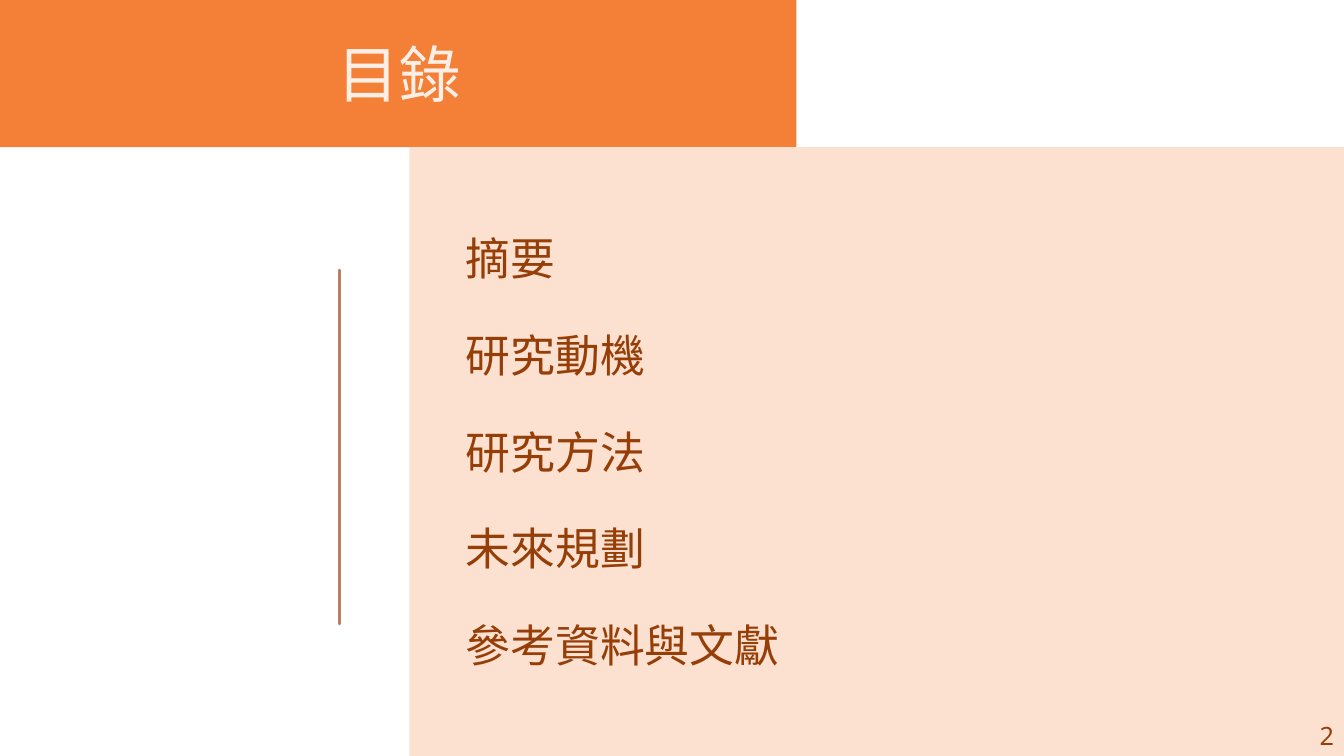
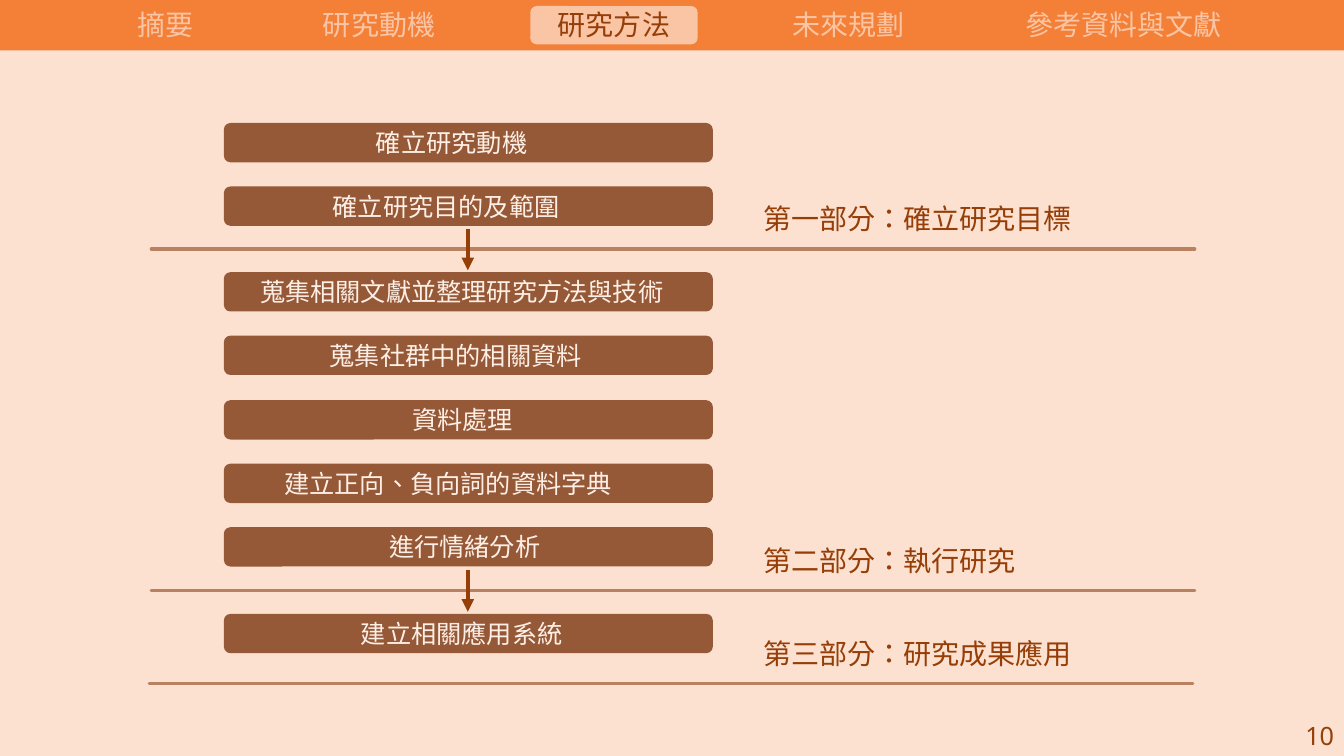
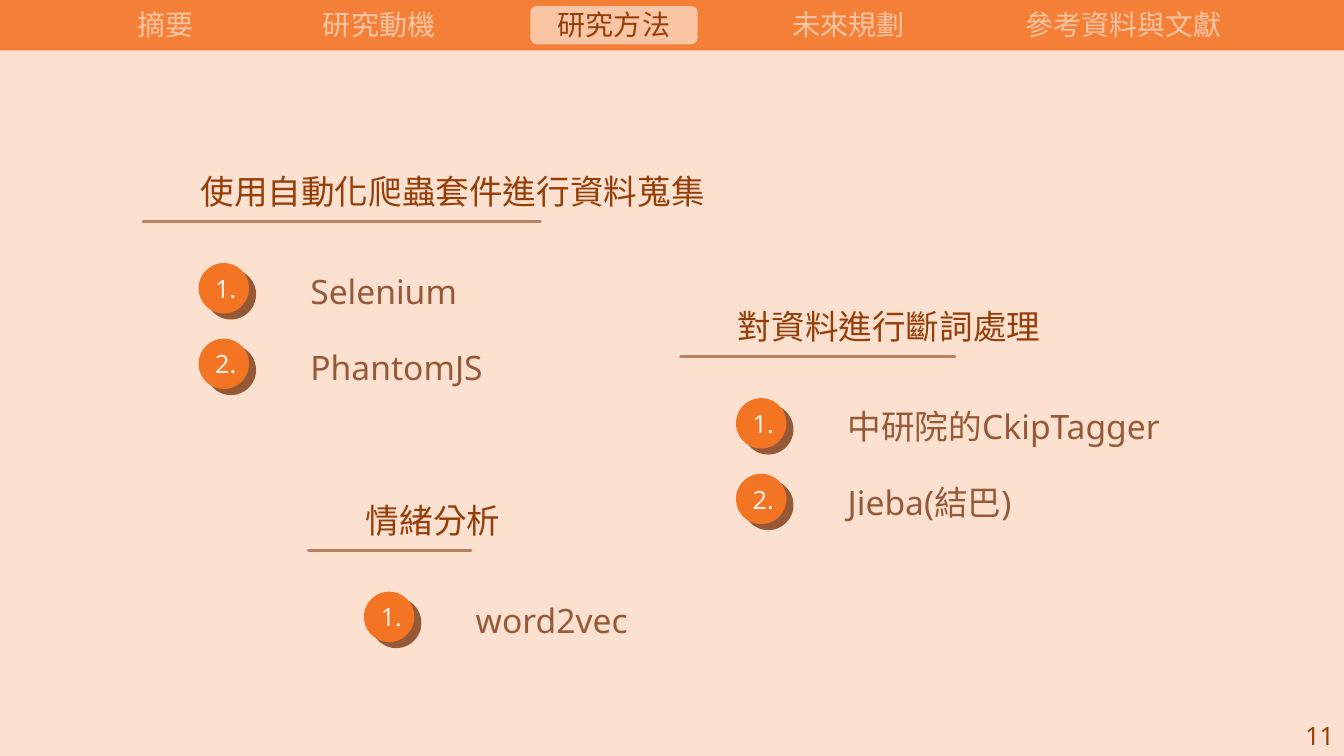
from lxml.etree import SubElement
from pptx import Presentation
from pptx.dml.color import RGBColor
from pptx.enum.lang import MSO_LANGUAGE_ID
from pptx.enum.shapes import MSO_CONNECTOR, MSO_SHAPE
from pptx.enum.text import MSO_ANCHOR, MSO_AUTO_SIZE, PP_ALIGN
from pptx.oxml.ns import qn
from pptx.util import Emu, Pt

EMU_PER_PX = 9144  # 100 px to the inch
SLIDE_WIDTH, SLIDE_HEIGHT = 1333, 750

COLORS = {
    "band": "F48038",
    "panel": "FCE1D0",
    "active tab": "FAC5A4",
    "badge": "F37524",
    "brown": "955937",
    "rule": "B9815F",
    "dark text": "963E08",
    "light text": "FEEFE6",
}
FONT = {"name": "Noto Sans", "language_id": MSO_LANGUAGE_ID.TRADITIONAL_CHINESE}
TEXT_BOX = {"word_wrap": True, "auto_size": MSO_AUTO_SIZE.SHAPE_TO_FIT_TEXT}
SHAPE_TEXT = {
    "word_wrap": False,
    "vertical_anchor": MSO_ANCHOR.MIDDLE,
    "margin_top": 0,
    "margin_right": 0,
    "margin_bottom": 0,
}

# Section name, left edge and width of its tab
TABS = [
    ("摘要", 122, 84),
    ("研究動機", 307, 138),
    ("研究方法", 540, 138),
    ("未來規劃", 773, 138),
    ("參考資料與文獻", 1002, 225),
]

STEP_LEFT, STEP_WIDTH, STEP_HEIGHT = 222, 485, 39
STEP_PITCH = 190 / 3

# Label, label top, first step top, rule left, rule y, steps with their text left
PARTS = [
    ("第一部分：確立研究目標", 195, 122, 150, 247, [
        ("確立研究動機", 373),
        ("確立研究目的及範圍", 330),
    ]),
    ("第二部分：執行研究", 534, 270, 150, 586, [
        ("蒐集相關文獻並整理研究方法與技術", 258),
        ("蒐集社群中的相關資料", 327),
        ("資料處理", 409),
        ("建立正向、負向詞的資料字典", 282),
        ("進行情緒分析", 386),
    ]),
    ("第三部分：研究成果應用", 627, 609, 148, 678, [
        ("建立相關應用系統", 358),
    ]),
]

# Heading, left, top, text width, rule width, tools
TOPICS = [
    ("使用自動化爬蟲套件進行資料蒐集", 189, 165, 545, 394, ["Selenium", "PhantomJS"]),
    ("對資料進行斷詞處理", 722, 299, 368, 272, ["中研院的CkipTagger", "Jieba(結巴)"]),
    ("情緒分析", 353, 491, 196, 161, ["word2vec"]),
]


def px(length):
    return Emu(length * EMU_PER_PX)


def color(name):
    return RGBColor.from_string(COLORS[name])


def set_all(target, values):
    for name, value in values.items():
        setattr(target, name, value)


def write(text_frame, text, size, text_color, alignment):
    paragraph = text_frame.paragraphs[0]
    paragraph.alignment = alignment
    run = paragraph.add_run()
    run.text = text
    set_all(run.font, {**FONT, "size": Pt(size)})
    run.font.color.rgb = color(text_color)


def add_text(slide, text, left, top, width, height, size,
             text_color="dark text", alignment=PP_ALIGN.LEFT):
    box = slide.shapes.add_textbox(px(left), px(top), px(width), px(height))
    set_all(box.text_frame, TEXT_BOX)
    write(box.text_frame, text, size, text_color, alignment)


def add_block(slide, fill, left, top, width, height, kind=MSO_SHAPE.RECTANGLE):
    shape = slide.shapes.add_shape(kind, px(left), px(top), px(width), px(height))
    shape.shadow.inherit = False
    shape.fill.solid()
    shape.fill.fore_color.rgb = color(fill)
    shape.line.fill.background()
    return shape


def add_line(slide, start, end, line_color="rule", width=2.25):
    """Draw a round-ended straight line and return its a:ln element."""
    points = [px(value) for value in (*start, *end)]
    connector = slide.shapes.add_connector(MSO_CONNECTOR.STRAIGHT, *points)
    connector.line.color.rgb = color(line_color)
    connector.line.width = Pt(width)
    properties = connector._element.spPr
    SubElement(properties, qn("a:effectLst"))
    line = properties.find(qn("a:ln"))
    line.set("cap", "rnd")
    return line


def add_arrow(slide, start, end):
    line = add_line(slide, start, end, "dark text", 3)
    line.set("cap", "flat")
    SubElement(line, qn("a:tailEnd"), type="triangle")


def add_page_number(slide, number):
    add_text(slide, str(number), 1283, 710, 50, 40, 18, alignment=PP_ALIGN.RIGHT)


def add_slide(presentation):
    return presentation.slides.add_slide(presentation.slide_layouts[6])


def add_section_slide(presentation, active):
    """Add a tinted slide with the tab band and the active section marked."""
    slide = add_slide(presentation)
    add_block(slide, "panel", 0, 0, SLIDE_WIDTH, SLIDE_HEIGHT)
    add_block(slide, "band", 0, 0, SLIDE_WIDTH, 50)
    for name, left, width in TABS:
        is_active = name == active
        if is_active:
            add_block(slide, "active tab", left - 14, 6, width + 28, 38,
                      MSO_SHAPE.ROUNDED_RECTANGLE)
        text_color = "dark text" if is_active else "active tab"
        add_text(slide, name, left, 3, width, 44, 20, text_color, PP_ALIGN.CENTER)
    return slide


def add_step(slide, text, text_left, top):
    step = add_block(slide, "brown", STEP_LEFT, top, STEP_WIDTH, STEP_HEIGHT,
                     MSO_SHAPE.ROUNDED_RECTANGLE)
    corner_inset = 2
    set_all(step.text_frame, SHAPE_TEXT)
    step.text_frame.margin_left = px(text_left - STEP_LEFT - corner_inset)
    write(step.text_frame, text, 18, "light text", PP_ALIGN.LEFT)


def add_badge(slide, number, left, top):
    """Draw a numbered disc over an offset brown disc."""
    add_block(slide, "brown", left + 7, top + 6, 50, 50, MSO_SHAPE.OVAL)
    disc = add_block(slide, "badge", left, top, 50, 50, MSO_SHAPE.OVAL)
    set_all(disc.text_frame, {**SHAPE_TEXT, "margin_left": px(4)})
    write(disc.text_frame, f"{number}.", 18, "light text", PP_ALIGN.CENTER)


def add_topic(slide, heading, left, top, text_width, rule_width, tools):
    add_text(slide, heading, left, top, text_width, 50, 24)
    rule_left, rule_y = left - 47, top + 55
    add_line(slide, (rule_left, rule_y), (rule_left + rule_width, rule_y))
    for index, tool in enumerate(tools):
        tool_top = top + 99 + 75 * index
        add_text(slide, tool, left + 109, tool_top, 400, 50, 24, "brown")
        add_badge(slide, index + 1, left + 8, tool_top - 3)


def build_contents(presentation):
    slide = add_slide(presentation)
    add_block(slide, "band", 0, 0, 790, 146)
    add_text(slide, "目錄", 291, 31, 210, 84, 44, "light text", PP_ALIGN.CENTER)
    add_block(slide, "panel", 406, 146, SLIDE_WIDTH - 406, SLIDE_HEIGHT - 146)
    add_line(slide, (337, 268), (337, 619))
    for index, (name, _, _) in enumerate(TABS):
        add_text(slide, name, 452, 224 + 96 * index, 383, 64, 32)
    add_page_number(slide, 2)


def build_process(presentation):
    slide = add_section_slide(presentation, "研究方法")
    middle = STEP_LEFT + STEP_WIDTH // 2
    previous_bottom = None
    for label, label_top, first_top, rule_left, rule_y, steps in PARTS:
        add_line(slide, (rule_left, rule_y), (rule_left + 1035, rule_y))
        add_text(slide, label, 747, label_top, 372, 44, 20)
        if previous_bottom:
            add_arrow(slide, (middle, previous_bottom + 3), (middle, first_top - 2))
        for index, (text, text_left) in enumerate(steps):
            top = first_top + round(index * STEP_PITCH)
            add_step(slide, text, text_left, top)
        previous_bottom = top + STEP_HEIGHT
    add_page_number(slide, 10)


def build_tools(presentation):
    slide = add_section_slide(presentation, "研究方法")
    for topic in TOPICS:
        add_topic(slide, *topic)
    add_page_number(slide, 11)


def main():
    presentation = Presentation()
    presentation.slide_width = px(SLIDE_WIDTH)
    presentation.slide_height = px(SLIDE_HEIGHT)
    build_contents(presentation)
    build_process(presentation)
    build_tools(presentation)
    presentation.save("out.pptx")


if __name__ == "__main__":
    main()
